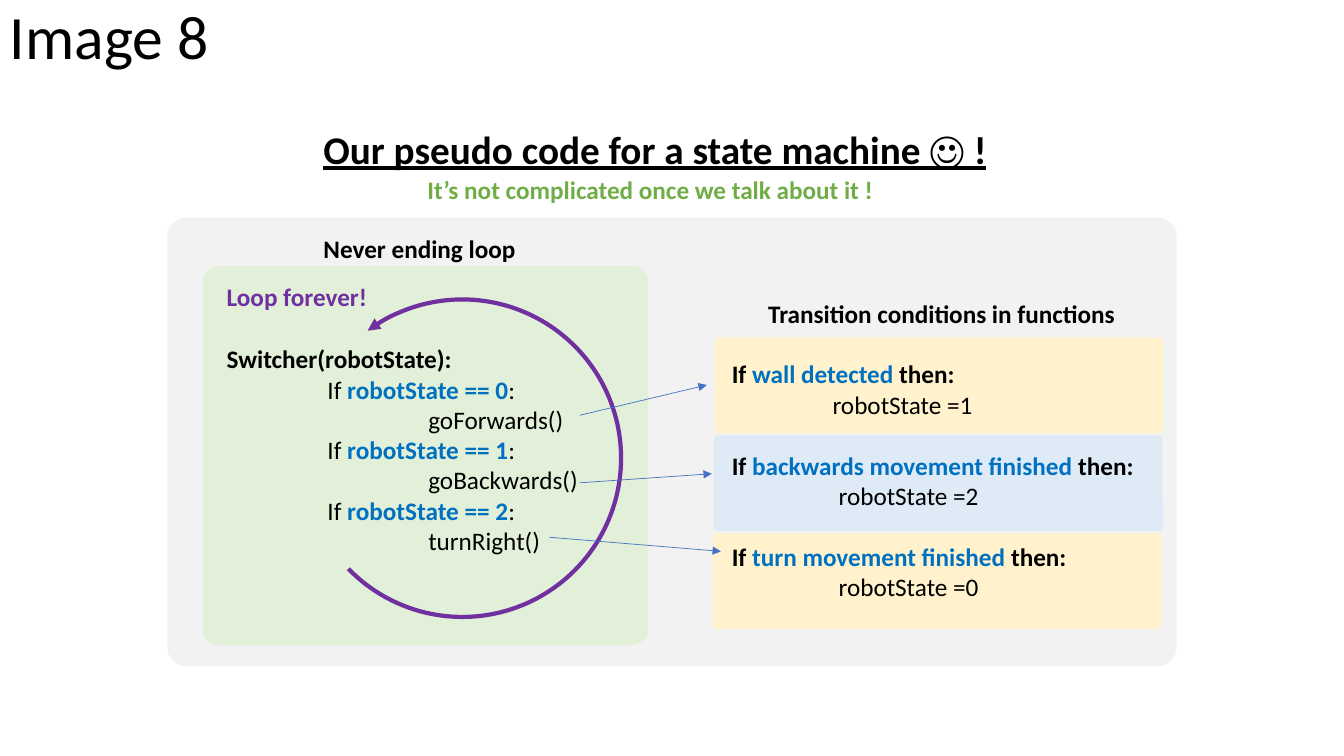
from lxml import etree
from pptx import Presentation
from pptx.dml.color import RGBColor
from pptx.enum.shapes import MSO_CONNECTOR, MSO_SHAPE
from pptx.enum.text import MSO_ANCHOR
from pptx.oxml.ns import qn
from pptx.util import Inches, Pt

ROUNDED = MSO_SHAPE.ROUNDED_RECTANGLE
ARC = MSO_SHAPE.ARC
STRAIGHT = MSO_CONNECTOR.STRAIGHT
MIDDLE = MSO_ANCHOR.MIDDLE

FONT = "Calibri"
BLANK_LAYOUT = 6
LINE_GAP = 22  # points, one line of 18 pt text
COLORS = {
    "black": "000000", "grey": "F2F2F2", "sand": "FFF2CC", "sky": "DEEBF7",
    "mint": "E2F0D9", "blue": "0070C0", "purple": "7030A0", "green": "70AD47",
    "arrow": "4472C4",
}


def rgb(name):
    return RGBColor.from_string(COLORS[name])


def add_panel(page, left, top, width, height, color):
    panel = page.shapes.add_shape(
        ROUNDED, Inches(left), Inches(top), Inches(width), Inches(height))
    panel.adjustments[0] = 0.042
    panel.shadow.inherit = False
    panel.fill.solid()
    panel.fill.fore_color.rgb = rgb(color)
    panel.line.fill.background()


def add_span(para, text, size=18, color="black", bold=False, underline=None):
    span = para.add_run()
    span.text = text
    font = span.font
    font.name = FONT
    font.size = Pt(size)
    font.bold = bold
    font.underline = underline
    font.color.rgb = rgb(color)


def add_box(page, left, top, width, height, wrap=True):
    box = page.shapes.add_textbox(
        Inches(left), Inches(top), Inches(width), Inches(height))
    box.text_frame.word_wrap = wrap
    return box.text_frame


def add_label(page, left, top, width, height, text, wrap=True, **style):
    frame = add_box(page, left, top, width, height, wrap)
    add_span(frame.paragraphs[0], text, **style)
    return frame


def add_code(page, left, top, width, height, lines):
    """Each line is (indent in inches, space before in points, spans)."""
    frame = add_box(page, left, top, width, height)
    for index, (indent, gap, spans) in enumerate(lines):
        para = frame.add_paragraph() if index else frame.paragraphs[0]
        para._p.get_or_add_pPr().set("marL", str(Inches(indent)))
        if gap:
            para.space_before = Pt(gap)
        for text, color, bold in spans:
            add_span(para, text, color=color, bold=bold)


def set_arrowhead(shape, end):
    line = shape.line._get_or_add_ln()
    etree.SubElement(line, qn(f"a:{end}")).set("type", "triangle")


def add_arrow(page, start, end):
    arrow = page.shapes.add_connector(
        STRAIGHT, *(Inches(value) for value in (*start, *end)))
    arrow.line.color.rgb = rgb("arrow")
    arrow.line.width = Pt(0.5)
    set_arrowhead(arrow, "tailEnd")
    etree.SubElement(arrow._element.spPr, qn("a:effectLst"))


def add_loop_arc(page):
    loop = page.shapes.add_shape(
        ARC, Inches(3.01), Inches(2.97), Inches(3.15), Inches(3.15))
    loop.adjustments[0] = 27.41
    loop.adjustments[1] = 184.87
    loop.rotation = 187.7
    loop.shadow.inherit = False
    loop.fill.background()
    loop.line.color.rgb = rgb("purple")
    loop.line.width = Pt(3)
    set_arrowhead(loop, "headEnd")


def switcher_lines(calls):
    lines = [(0, 0, [("Switcher(robotState):", "black", True)])]
    for state, call in enumerate(calls):
        lines.append((1, 0, [("If ", "black", False),
                             (f"robotState == {state}", "blue", True),
                             (":", "black", False)]))
        lines.append((2, 0, [(call, "black", False)]))
    return lines


def transition_lines(transitions):
    lines = []
    for index, (condition, state, indent) in enumerate(transitions):
        lines.append((0, LINE_GAP if index else 0,
                      [("If ", "black", True), (condition, "blue", True),
                       (" then:", "black", True)]))
        lines.append((indent, 0, [(f"robotState ={state}", "black", False)]))
    return lines


def main():
    deck = Presentation()
    deck.slide_width = Inches(13.33)
    deck.slide_height = Inches(7.5)
    page = deck.slides.add_slide(deck.slide_layouts[BLANK_LAYOUT])

    add_panel(page, 1.66, 2.16, 10.01, 4.45, "grey")
    for row, color in enumerate(("sand", "sky", "sand")):
        add_panel(page, 7.09 - 0.01 * row, 3.35 + 0.97 * row, 4.45, 0.95, color)
    add_panel(page, 2.01, 2.64, 4.42, 3.76, "mint")

    title = add_label(page, 0, 0, 2.28, 0.79, "Image 8", size=44)
    title.vertical_anchor = MIDDLE
    title.paragraphs[0].line_spacing = 0.9

    add_code(page, 7.16, 3.51, 4.37, 2.53, transition_lines([
        ("wall detected", 1, 1),
        ("backwards movement finished", 2, 1.06),
        ("turn movement finished", 0, 1.06),
    ]))
    add_code(page, 2.15, 3.36, 4.87, 2.22, switcher_lines(
        ["goForwards()", "goBackwards()", "turnRight()"]))
    add_loop_arc(page)

    add_label(page, 7.52, 2.91, 4.35, 0.4,
              "Transition conditions in functions", bold=True)
    add_label(page, 3.11, 1.19, 6.83, 0.57,
              "Our pseudo code for a state machine ☺ !",
              wrap=False, size=28, bold=True, underline=True)
    add_label(page, 4.14, 1.68, 4.66, 0.4,
              "It’s not complicated once we talk about it !",
              wrap=False, color="green", bold=True)
    add_label(page, 2.15, 2.74, 6.81, 0.4, "Loop forever!",
              color="purple", bold=True)
    add_label(page, 3.11, 2.27, 2.63, 0.4, "Never ending loop", bold=True)

    for start, end in (((5.75, 4.12), (7.01, 3.82)),
                       ((5.75, 4.79), (7.06, 4.7)),
                       ((5.45, 5.33), (7.15, 5.47))):
        add_arrow(page, start, end)

    deck.save("out.pptx")


if __name__ == "__main__":
    main()
